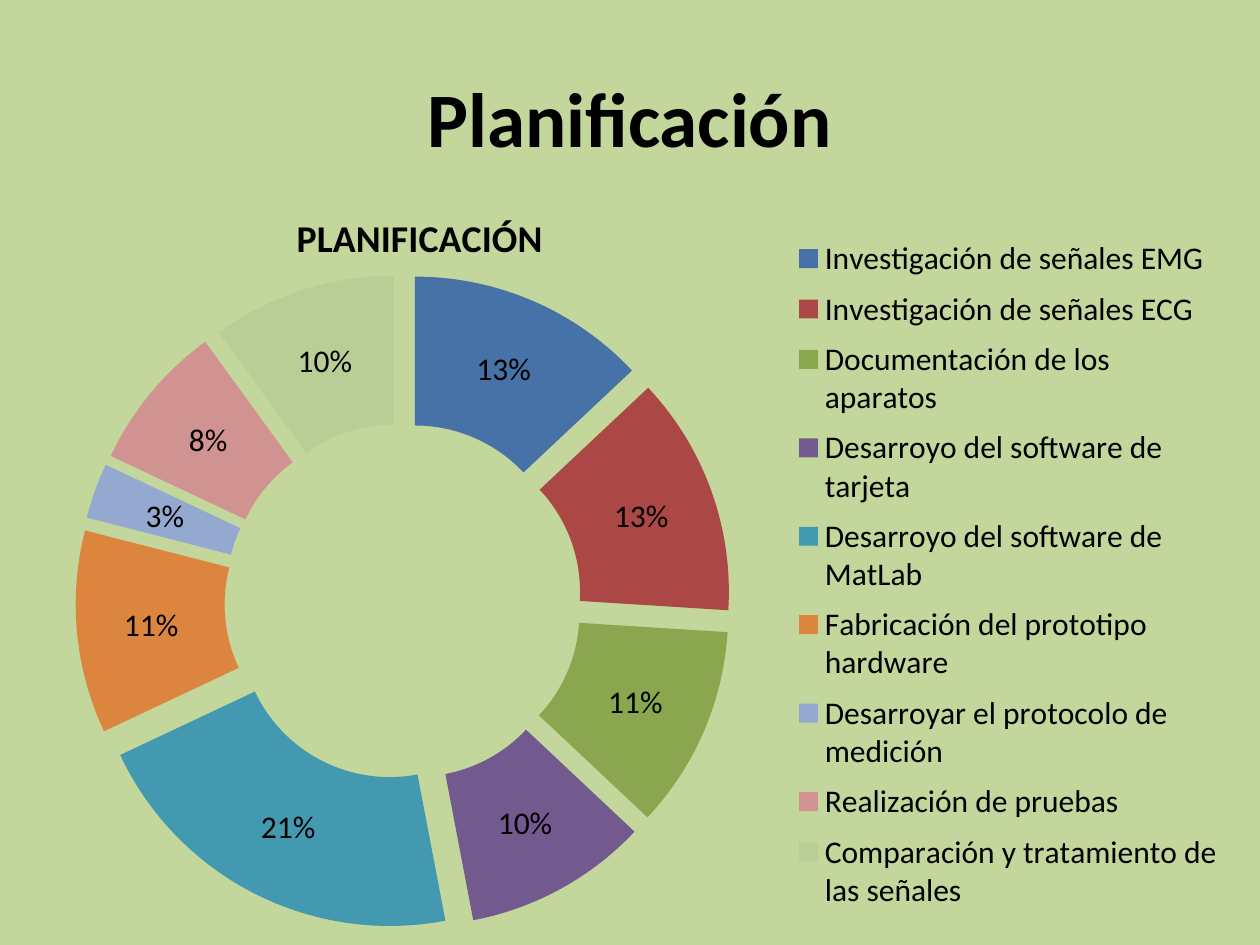
from lxml.etree import SubElement
from pptx import Presentation
from pptx.chart.data import CategoryChartData
from pptx.dml.color import RGBColor
from pptx.enum.chart import XL_CHART_TYPE, XL_LEGEND_POSITION
from pptx.enum.text import MSO_ANCHOR, PP_ALIGN
from pptx.oxml.ns import qn
from pptx.util import Inches, Pt

# Content: task, share in percent, slice colour
TITLE = "Planificación"
HEAD = "PLANIFICACIÓN"
TASKS = [
    ("Investigación de señales EMG", 13, "4672A8"),
    ("Investigación de señales ECG", 13, "AB4744"),
    ("Documentación de los aparatos", 11, "8AA64F"),
    ("Desarroyo del software de tarjeta", 10, "725A8F"),
    ("Desarroyo del software de MatLab", 21, "4299B0"),
    ("Fabricación del prototipo hardware", 11, "DC853E"),
    ("Desarroyar el protocolo de medición", 3, "93A9CF"),
    ("Realización de pruebas", 8, "D19392"),
    ("Comparación y tratamiento de las señales", 10, "B9CD96"),
]
THEME = {"font": "Calibri", "ink": "000000", "back": "C3D69B",
         "title": 44, "head": 21.6, "body": 18}


def style(font, size, bold=False):
    font.name = THEME["font"]
    font.size = Pt(size)
    font.bold = bold
    font.color.rgb = RGBColor.from_string(THEME["ink"])


def place(elem, prior, inner=False, **spots):
    """Give a chart part a manual layout, right after the tag prior."""
    for old in elem.findall(qn("c:layout")):
        elem.remove(old)
    layout = SubElement(elem, qn("c:layout"))
    manual = SubElement(layout, qn("c:manualLayout"))
    if inner:
        SubElement(manual, qn("c:layoutTarget")).set("val", "inner")
    for key in ("x", "y"):
        SubElement(manual, qn(f"c:{key}Mode")).set("val", "edge")
    for key, val in spots.items():
        SubElement(manual, qn(f"c:{key}")).set("val", str(val))
    if prior is None:
        elem.insert(0, layout)
    else:
        elem.find(qn(prior)).addnext(layout)


# Slide
deck = Presentation()
deck.slide_width, deck.slide_height = Inches(10), Inches(7.5)
slide = deck.slides.add_slide(deck.slide_layouts[6])
fill = slide.background.fill
fill.solid()
fill.fore_color.rgb = RGBColor.from_string(THEME["back"])

# Title
box = slide.shapes.add_textbox(Inches(0.5), Inches(0.3), Inches(9), Inches(1.25))
frame = box.text_frame
frame.word_wrap = True
frame.vertical_anchor = MSO_ANCHOR.MIDDLE
para = frame.paragraphs[0]
para.alignment = PP_ALIGN.CENTER
run = para.add_run()
run.text = TITLE
style(run.font, THEME["title"], True)

# Chart
data = CategoryChartData()
data.categories = [name for name, _, _ in TASKS]
data.add_series("Series 1", [share for _, share, _ in TASKS])
chart = slide.shapes.add_chart(
    XL_CHART_TYPE.DOUGHNUT, Inches(0), Inches(1.31), Inches(10), Inches(6.19),
    data).chart
style(chart.font, THEME["body"])

# Chart title
chart.has_title = True
run = chart.chart_title.text_frame.paragraphs[0].add_run()
run.text = HEAD
style(run.font, THEME["head"], True)
place(chart.chart_title._element, "c:tx", x=0.23, y=0.05)

# Legend
chart.has_legend = True
legend = chart.legend
legend.position = XL_LEGEND_POSITION.RIGHT
legend.include_in_layout = False
style(legend.font, THEME["body"])
place(legend._element, "c:legendPos", x=0.63, y=0.08, w=0.34, h=0.89)

# Ring
plot = chart.plots[0]
plot.vary_by_categories = True
ring = plot._element
ring.find(qn("c:holeSize")).set("val", "50")
place(ring.getparent(), None, inner=True, x=0.06, y=0.14, w=0.52, h=0.84)
series = plot.series[0]
for idx, (_, _, tone) in enumerate(TASKS):
    part = series.points[idx].format
    part.fill.solid()
    part.fill.fore_color.rgb = RGBColor.from_string(tone)
    part.line.fill.background()
ser = series._element
for old in ser.findall(qn("c:explosion")):
    ser.remove(old)
burst = SubElement(ser, qn("c:explosion"))
burst.set("val", "20")
ser.find(qn("c:dPt")).addprevious(burst)

# Slice labels
plot.has_data_labels = True
labels = plot.data_labels
labels.show_percentage = True
labels.show_value = False
labels.number_format = "0%"
labels.number_format_is_linked = False
style(labels.font, THEME["body"])

deck.save("out.pptx")
